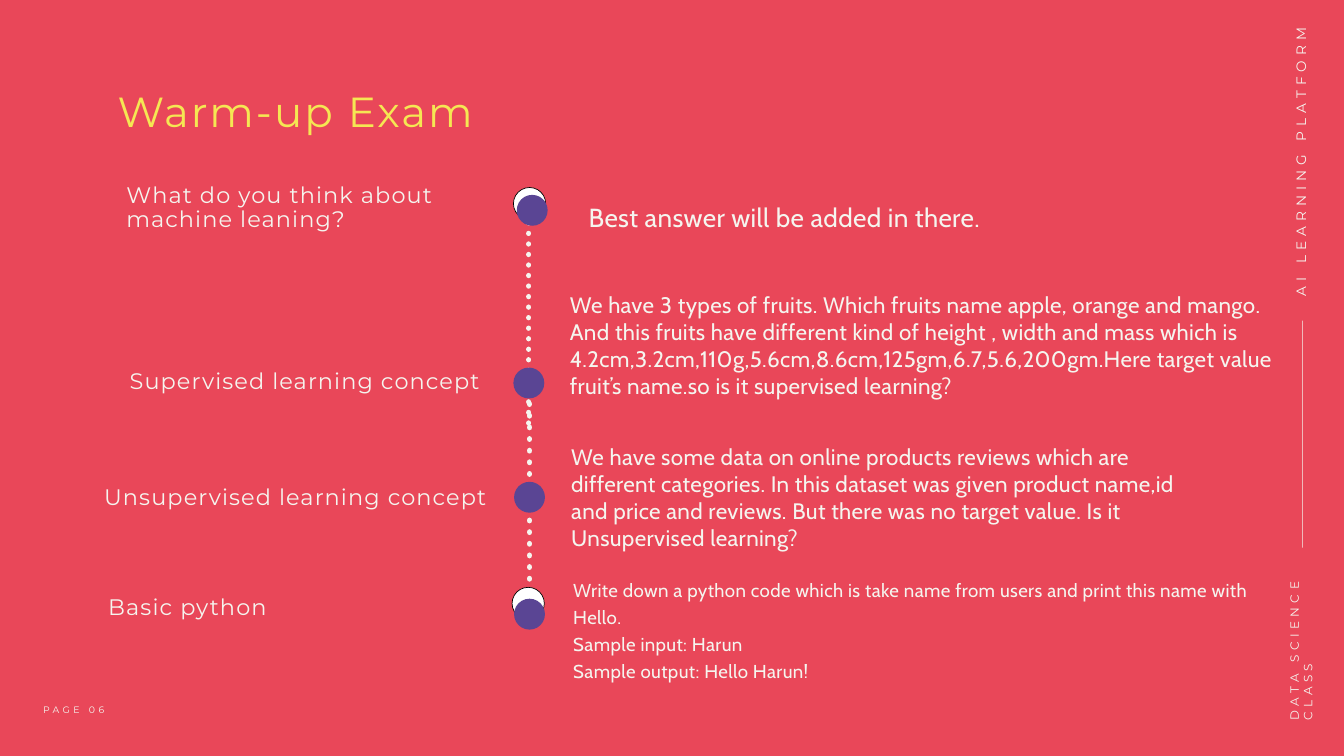
from dataclasses import dataclass

import lxml.etree
import pptx
import pptx.dml.color
import pptx.enum.dml
import pptx.enum.shapes
import pptx.enum.text
import pptx.oxml.ns
import pptx.util

PX = pptx.util.Inches(1) // 100  # one px is a hundredth of an inch
SHAPES = pptx.enum.shapes.MSO_SHAPE


@dataclass(frozen=True)
class TextStyle:
    size: float
    leading: float
    spacing: float
    font: str = "Montserrat"
    color: str = "F5F5EF"


@dataclass(frozen=True)
class Theme:
    background: str = "E94759"
    cream: str = "F5F5EF"
    white: str = "FFFFFF"
    purple: str = "5A4594"
    black: str = "000000"
    title: TextStyle = TextStyle(45, 50, 2.2, color="F5E753")
    topic: TextStyle = TextStyle(24, 26.6, 1.2)
    answer: TextStyle = TextStyle(28, 28.8, 0.4, "Cabin")
    question: TextStyle = TextStyle(24, 28.8, 0.4, "Cabin")
    task: TextStyle = TextStyle(20, 28.8, 0.4, "Cabin")
    page_number: TextStyle = TextStyle(10, 11.4, 3.7)
    platform: TextStyle = TextStyle(14.6, 16.7, 5.4)
    course: TextStyle = TextStyle(12.8, 14.6, 4.7)


def rgb(color):
    return pptx.dml.color.RGBColor.from_string(color)


class SlideWriter:
    def __init__(self, page, theme):
        self.page = page
        self.theme = theme
        page.background.fill.solid()
        page.background.fill.fore_color.rgb = rgb(theme.background)

    def text(self, place, content, style, rotation=0, align=None):
        box = self.page.shapes.add_textbox(*(value * PX for value in place))
        box.rotation = rotation
        frame = box.text_frame
        frame.margin_left = frame.margin_right = 0
        frame.margin_top = frame.margin_bottom = 0
        frame.word_wrap = True
        frame.auto_size = pptx.enum.text.MSO_AUTO_SIZE.SHAPE_TO_FIT_TEXT
        para = frame.paragraphs[0]
        para.line_spacing = pptx.util.Pt(style.leading)
        para.alignment = align
        for index, line in enumerate(content.split("\n")):
            if index:
                para.add_line_break()
            span = para.add_run()
            span.text = line
            span.font.name = style.font
            span.font.size = pptx.util.Pt(style.size)
            span.font.color.rgb = rgb(style.color)
            span.font._element.set("spc", str(round(style.spacing * 100)))

    def shape(self, kind, place, color, outline=None):
        shape = self.page.shapes.add_shape(kind, *(value * PX for value in place))
        shape.shadow.inherit = False
        shape.fill.solid()
        shape.fill.fore_color.rgb = rgb(color)
        if outline:
            shape.line.color.rgb = rgb(outline)
            shape.line.width = pptx.util.Pt(0.75)
        else:
            shape.line.fill.background()

    def marker(self, left, top):
        self.shape(SHAPES.OVAL, (left, top, 46, 46), self.theme.purple)

    def ring(self, left, top):
        self.shape(SHAPES.OVAL, (left, top, 48, 48), self.theme.white, self.theme.black)

    def dotted_line(self, center, first, last, dots=21):
        """Round dots from first to last; each gap is as long as a dot."""
        line = self.page.shapes.add_connector(
            pptx.enum.shapes.MSO_CONNECTOR.STRAIGHT,
            center * PX, first * PX, center * PX, last * PX,
        )
        line.line.color.rgb = rgb(self.theme.cream)
        line.line.width = (last - first) * PX // (2 * (dots - 1))
        line.line.dash_style = pptx.enum.dml.MSO_LINE.ROUND_DOT
        properties = line._element.spPr
        properties.find(pptx.oxml.ns.qn("a:ln")).set("cap", "rnd")
        lxml.etree.SubElement(properties, pptx.oxml.ns.qn("a:effectLst"))


def main():
    deck = pptx.Presentation()
    deck.slide_width, deck.slide_height = 2000 * PX, 1125 * PX
    theme = Theme()
    writer = SlideWriter(deck.slides.add_slide(deck.slide_layouts[6]), theme)

    # Title
    writer.text((175, 133, 1469, 70), "Warm-up Exam", theme.title)

    # Timeline
    writer.dotted_line(787, 316, 630)
    writer.dotted_line(788, 584, 930)
    writer.ring(764, 279)
    writer.ring(762, 874)
    for left, top in ((769, 290), (764, 547), (765, 717), (765, 891)):
        writer.marker(left, top)

    # Topics on the left
    for place, topic in (
        ((188, 272, 534, 76), "What do you think about machine leaning?"),
        ((193, 549, 534, 38), "Supervised learning concept"),
        ((155, 722, 599, 38), "Unsupervised learning concept"),
        ((161, 885, 599, 38), "Basic python"),
    ):
        writer.text(place, topic, theme.topic)

    # Questions on the right
    writer.text((876, 307, 900, 41), "Best answer will be added in there.", theme.answer)
    writer.text(
        (848, 433, 1080, 161),
        "We have 3 types of fruits. Which fruits name apple, orange and mango. "
        "And this fruits have different kind of height , width and mass which is "
        "4.2cm,3.2cm,110g,5.6cm,8.6cm,125gm,6.7,5.6,200gm.Here target value "
        "fruit’s name.so is it supervised learning?",
        theme.question,
    )
    writer.text(
        (850, 660, 900, 161),
        "We have some data on online products reviews which are different "
        "categories. In this dataset was given product name,id and price and "
        "reviews. But there was no target value. Is it Unsupervised learning?",
        theme.question,
    )
    writer.text(
        (853, 855, 1051, 159),
        "Write down a python code which is take name from users and print this "
        "name with Hello.\nSample input: Harun\nSample output: Hello Harun!",
        theme.task,
    )

    # Side strip and page number
    writer.text((1635, 331, 604, 25), "AI LEARNING PLATFORM", theme.platform,
                rotation=270, align=pptx.enum.text.PP_ALIGN.RIGHT)
    writer.shape(SHAPES.RECTANGLE, (1938, 477, 1, 338), theme.cream)
    writer.text((1817, 930, 241, 43), "DATA SCIENCE CLASS", theme.course, rotation=270)
    writer.text((64, 1048, 188, 15), "PAGE 06", theme.page_number)

    deck.save("out.pptx")


if __name__ == "__main__":
    main()
